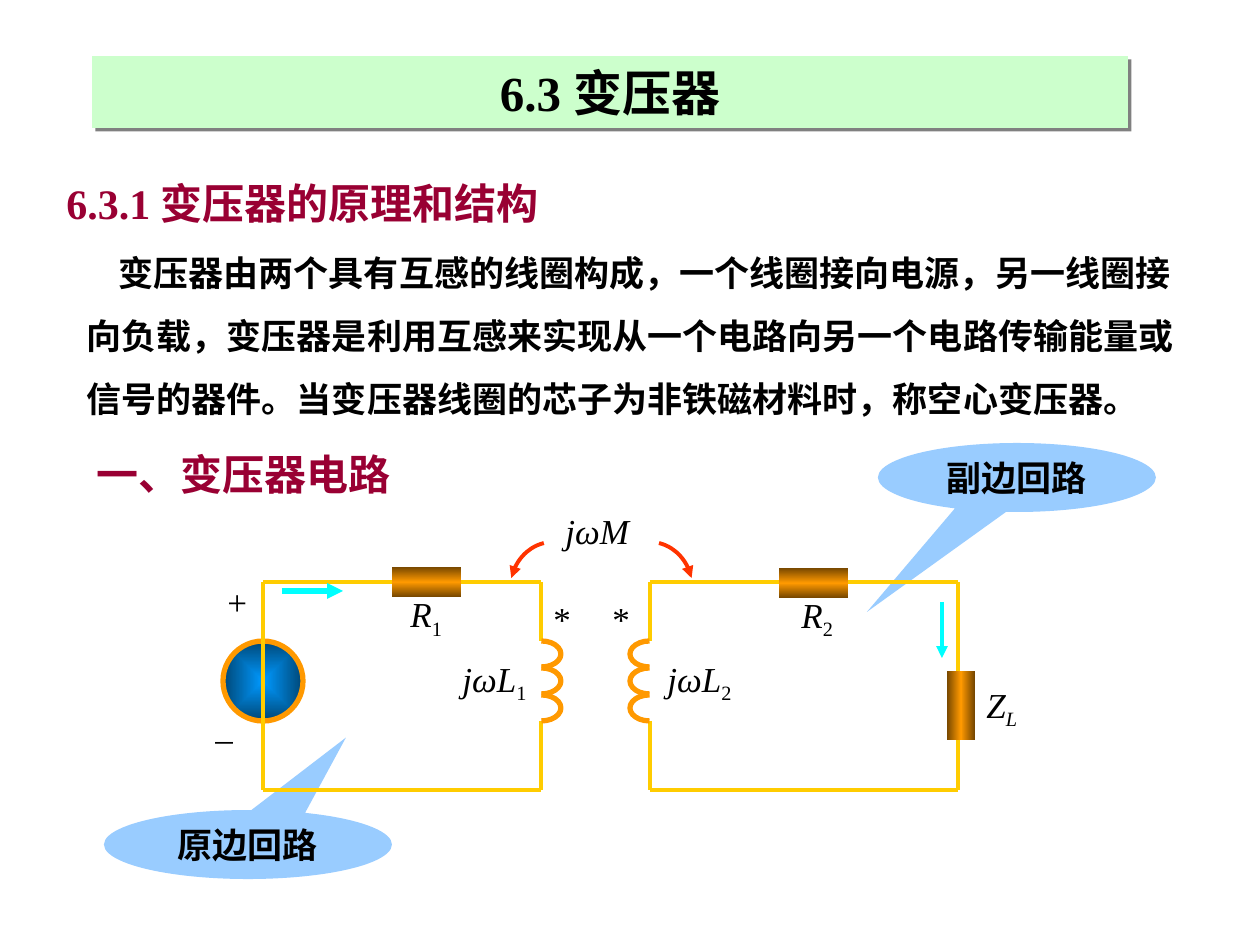
from pptx import Presentation
from pptx.dml.color import RGBColor
from pptx.enum.shapes import MSO_CONNECTOR as Connector, MSO_SHAPE as Shape
from pptx.enum.text import MSO_ANCHOR as Anchor, MSO_AUTO_SIZE as AutoSize, PP_ALIGN as Align
from pptx.oxml import parse_xml
from pptx.oxml.ns import nsdecls, qn
from pptx.oxml.xmlchemy import OxmlElement
from pptx.util import Emu, Pt

SERIF = "Times New Roman"
CJK = "Noto Sans CJK SC"
BLACK = "000000"
CRIMSON = "990033"
SKY = "99CCFF"
MINT = "CCFFCC"
WIRE = "FFCC00"
COIL = "FF9900"
CURRENT = "00FFFF"
COUPLING = "FF3300"
COPPER = [(0, "764700"), (50, COIL), (100, "764700")]
BLUE_GLOW = [(0, "0099FF"), (100, "004776")]


def px(value):
    return Emu(round(value * 914400 / 126))


def color(value):
    return RGBColor.from_string(value)


def write(para, text, size=20, font=SERIF, fill=BLACK, bold=False, italic=False, baseline=0):
    span = para.add_run()
    span.text = text
    span.font.size = Pt(size)
    span.font.name = font
    span.font.bold = bold
    span.font.italic = italic
    span.font.color.rgb = color(fill)
    east = OxmlElement("a:ea")
    east.set("typeface", CJK)
    properties = span.font._element
    properties.append(east)
    if baseline:
        properties.set("baseline", str(baseline * 1000))


class Deck:
    def __init__(self, width, height):
        self.file = Presentation()
        self.file.slide_width, self.file.slide_height = px(width), px(height)
        self.page = self.file.slides.add_slide(self.file.slide_layouts[1])
        self.layer = self.page.shapes

    def place(self, box, left, top, width, height):
        box.left, box.top, box.width, box.height = map(px, (left, top, width, height))
        box.text_frame.word_wrap = True
        box.text_frame.auto_size = AutoSize.NONE

    def title(self, text, *frame):
        box = self.page.shapes.title
        self.place(box, *frame)
        box.fill.solid()
        box.fill.fore_color.rgb = color(MINT)
        box._element.spPr.append(parse_xml(
            f'<a:effectLst {nsdecls("a")}><a:outerShdw dist="35560" dir="2700000" '
            'algn="ctr" rotWithShape="0"><a:srgbClr val="808080"/></a:outerShdw></a:effectLst>'))
        box.text_frame.vertical_anchor = Anchor.MIDDLE
        para = box.text_frame.paragraphs[0]
        para.alignment = Align.CENTER
        write(para, text, size=28, bold=True)

    def body(self, text, *frame, indent):
        box = self.page.placeholders[1]
        self.place(box, *frame)
        para = box.text_frame.paragraphs[0]
        properties = para._p.get_or_add_pPr()
        properties.set("marL", "0")
        properties.set("indent", str(px(indent)))
        properties.append(OxmlElement("a:buNone"))
        para.line_spacing = 1.5
        para.space_before = Pt(0)
        write(para, text, font=CJK, bold=True)

    def label(self, text, left, top, width, height=55, sub="", sub_italic=False, **style):
        box = self.layer.add_textbox(*map(px, (left, top, width, height)))
        box.text_frame.word_wrap = True
        box.text_frame.auto_size = AutoSize.SHAPE_TO_FIT_TEXT
        para = box.text_frame.paragraphs[0]
        write(para, text, **style)
        if sub:
            write(para, sub, italic=sub_italic, baseline=-25)

    def shape(self, kind, *frame, adjust=()):
        shape = self.layer.add_shape(kind, *map(px, frame))
        shape.shadow.inherit = False
        shape.line.fill.background()
        for index, value in enumerate(adjust):
            shape.adjustments[index] = value
        return shape

    def callout(self, text, *frame, adjust):
        shape = self.shape(Shape.OVAL_CALLOUT, *frame, adjust=adjust)
        shape.fill.solid()
        shape.fill.fore_color.rgb = color(SKY)
        shape.text_frame.vertical_anchor = Anchor.MIDDLE
        para = shape.text_frame.paragraphs[0]
        para.alignment = Align.CENTER
        write(para, text, font="Arial", bold=True)

    def gradient(self, kind, *frame, stops, angle=None):
        shape = self.shape(kind, *frame)
        shape.fill.gradient()
        marks = "".join(f'<a:gs pos="{at * 1000}"><a:srgbClr val="{value}"/></a:gs>' for at, value in stops)
        if angle is None:
            course = ('<a:path path="shape"><a:fillToRect l="50000" t="50000" '
                      'r="50000" b="50000"/></a:path>')
        else:
            course = f'<a:lin ang="{angle * 60000}" scaled="0"/>'
        properties = shape._element.spPr
        properties.replace(properties.find(qn("a:gradFill")), parse_xml(
            f'<a:gradFill {nsdecls("a")} rotWithShape="1"><a:gsLst>{marks}</a:gsLst>{course}</a:gradFill>'))
        return shape

    def stroke(self, item, fill, width, arrow=None):
        item.line.color.rgb = color(fill)
        item.line.width = Pt(width)
        if arrow:
            end = OxmlElement(f"a:{arrow}")
            end.set("type", "triangle")
            item.line._get_or_add_ln().append(end)

    def line(self, x1, y1, x2, y2, fill=WIRE, width=2.25, arrow=None):
        line = self.layer.add_connector(Connector.STRAIGHT, *map(px, (x1, y1, x2, y2)))
        self.stroke(line, fill, width, arrow)
        line._element.spPr.append(OxmlElement("a:effectLst"))

    def arc(self, *frame, start, end, fill, width, arrow=None):
        adjust = [angle * 0.6 for angle in (start, end)]
        shape = self.shape(Shape.ARC, *frame, adjust=adjust)
        shape.fill.background()
        self.stroke(shape, fill, width, arrow)


def draw_circuit(deck):
    deck.layer = deck.page.shapes.add_group_shape().shapes
    top, bottom, coil_top, coil_bottom = 582, 790, 641, 721
    source, primary, secondary, load = 263, 541, 650, 958

    glow = deck.gradient(Shape.OVAL, 223, 641, 80, 80, stops=BLUE_GLOW)
    deck.stroke(glow, COIL, 3)
    for coil in (primary, secondary):
        deck.line(coil, top, coil, coil_top)
        deck.line(coil, coil_bottom, coil, bottom)
    for left, right in ((source, primary), (secondary, load)):
        deck.line(left, top, right, top)
        deck.line(left, bottom, right, bottom)
    for side in (source, load):
        deck.line(side, top, side, bottom)

    deck.line(282, 591, 343, 591, fill=CURRENT, width=3, arrow="tailEnd")
    deck.line(942, 602, 942, 658, fill=CURRENT, arrow="tailEnd")
    deck.arc(510, 542, 86, 96, start=196, end=259, fill=COUPLING, width=2.25, arrow="headEnd")
    deck.arc(607, 542, 86, 96, start=281, end=344, fill=COUPLING, width=2.25, arrow="tailEnd")

    for turn in range(3):
        y = coil_top + turn * 27
        deck.arc(primary - 19, y, 39, 26, start=270, end=90, fill=COIL, width=3)
        deck.arc(secondary - 20, y, 39, 26, start=90, end=270, fill=COIL, width=3)
    for left, y in ((392, 567), (779, 568)):
        deck.gradient(Shape.RECTANGLE, left, y, 69, 30, stops=COPPER, angle=90)
    deck.gradient(Shape.RECTANGLE, 947, 671, 28, 69, stops=COPPER, angle=0)

    deck.label("*", 541, 591, 47)
    deck.label("*", 600, 591, 47)
    deck.label("+", 215, 574, 64)
    deck.label("–", 203, 710, 64)
    deck.label("jωM", 553, 503, 104, italic=True)
    deck.label("jωL", 450, 651, 100, sub="1", italic=True)
    deck.label("jωL", 655, 651, 176, sub="2", italic=True)
    deck.label("R", 398, 586, 112, sub="1", italic=True)
    deck.label("R", 789, 587, 118, sub="2", italic=True)
    deck.label("Z", 974, 677, 63, sub="L", sub_italic=True, italic=True)


def main():
    deck = Deck(1260, 945)
    deck.title("6.3 变压器", 92, 56, 1036, 72)
    deck.body("变压器由两个具有互感的线圈构成，一个线圈接向电源，另一线圈接向负载，"
              "变压器是利用互感来实现从一个电路向另一个电路传输能量或信号的器件。"
              "当变压器线圈的芯子为非铁磁材料时，称空心变压器。", 74, 224, 1131, 204, indent=32)
    deck.label("6.3.1 变压器的原理和结构", 54, 171, 1142, 63, size=24, fill=CRIMSON, bold=True)
    deck.label("一、变压器电路", 84, 442, 456, 63, size=24, fill=CRIMSON, bold=True)
    deck.callout("原边回路", 104, 810, 288, 69, adjust=(0.34, -1.55))
    deck.callout("副边回路", 878, 443, 278, 69, adjust=(-0.54, 1.95))
    draw_circuit(deck)
    deck.file.save("out.pptx")


if __name__ == "__main__":
    main()
